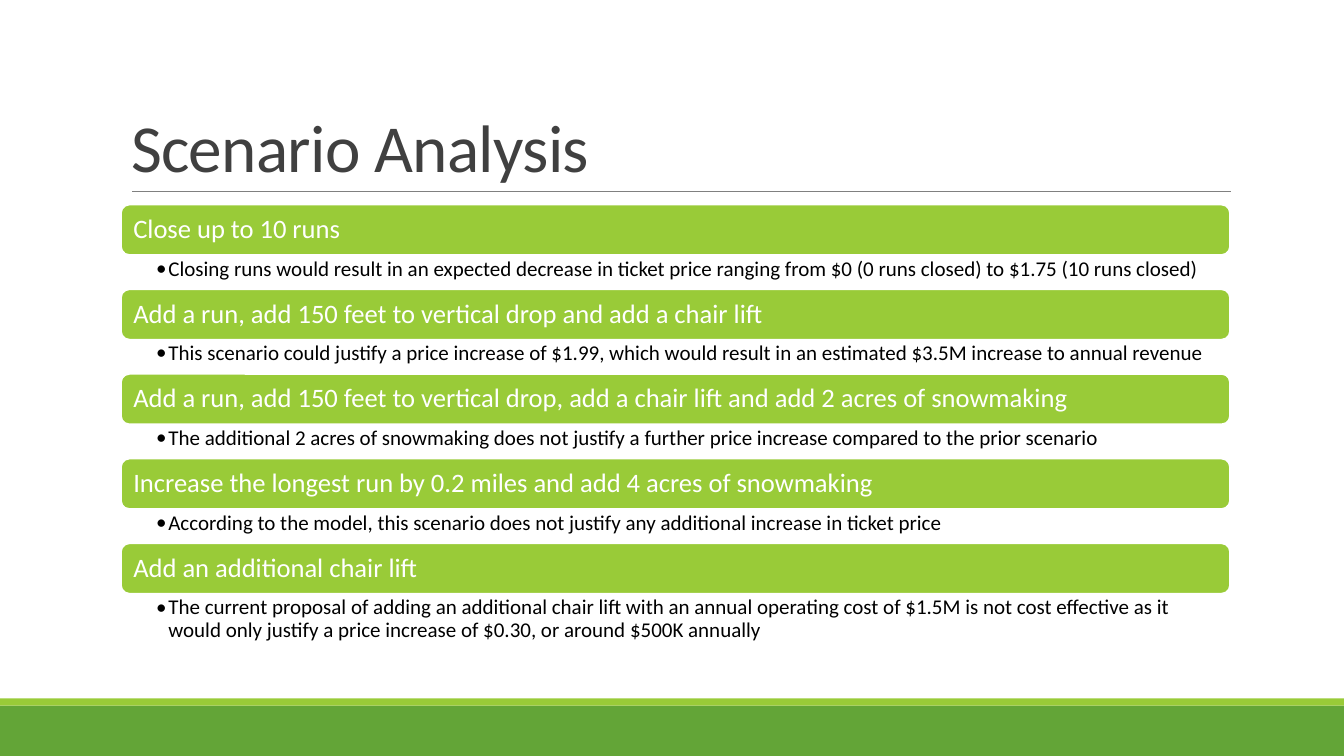
from lxml.etree import SubElement
from pptx import Presentation
from pptx.dml.color import RGBColor
from pptx.enum.shapes import MSO_CONNECTOR, MSO_SHAPE
from pptx.enum.text import MSO_ANCHOR, PP_ALIGN
from pptx.oxml.ns import qn
from pptx.util import Inches, Pt

TITLE = "Scenario Analysis"
SCENARIOS = [
    ("Close up to 10 runs",
     "Closing runs would result in an expected decrease in ticket price "
     "ranging from $0 (0 runs closed) to $1.75 (10 runs closed)"),
    ("Add a run, add 150 feet to vertical drop and add a chair lift",
     "This scenario could justify a price increase of $1.99, which would "
     "result in an estimated $3.5M increase to annual revenue"),
    ("Add a run, add 150 feet to vertical drop, add a chair lift and add "
     "2 acres of snowmaking",
     "The additional 2 acres of snowmaking does not justify a further price "
     "increase compared to the prior scenario"),
    ("Increase the longest run by 0.2 miles and add 4 acres of snowmaking",
     "According to the model, this scenario does not justify any additional "
     "increase in ticket price"),
    ("Add an additional chair lift",
     "The current proposal of adding an additional chair lift with an annual "
     "operating cost of $1.5M is not cost effective as it would only justify "
     "a price increase of $0.30, or around $500K annually"),
]
COLORS = {"green": "63A537", "lime": "99CB38", "rule": "808080",
          "title": "404040", "white": "FFFFFF", "black": "000000"}
FONT = "Calibri"
SLIDE_WIDTH, SLIDE_HEIGHT = 13.33, 7.5
LEFT, WIDTH = 1.2, 11
LIST_TOP, BAR_HEIGHT, DETAIL_HEIGHT, LAST_DETAIL_HEIGHT = 2.03, 0.5, 0.34, 0.52


def color(name):
    """Return the named colour."""
    return RGBColor.from_string(COLORS[name])


def place(box, left, top, width, height):
    """Set position and size in inches."""
    box.left, box.top = Inches(left), Inches(top)
    box.width, box.height = Inches(width), Inches(height)


def add_block(page, preset, area, fill):
    """Add a flat filled shape without an outline."""
    block = page.shapes.add_shape(preset, *[Inches(length) for length in area])
    block.shadow.inherit = False
    block.fill.solid()
    block.fill.fore_color.rgb = color(fill)
    block.line.fill.background()
    return block


def write(box, text, size, ink, spacing, insets, anchor):
    """Write one left-aligned paragraph and return it with its run."""
    frame = box.text_frame
    frame.word_wrap = True
    frame.vertical_anchor = anchor
    (frame.margin_left, frame.margin_top,
     frame.margin_right, frame.margin_bottom) = [Inches(inset) for inset in insets]
    para = frame.paragraphs[0]
    para.alignment = PP_ALIGN.LEFT
    para.line_spacing = spacing
    span = para.add_run()
    span.text = text
    span.font.name, span.font.size = FONT, Pt(size)
    span.font.color.rgb = color(ink)
    return para, span


def add_bullet(para):
    """Give a paragraph a hanging bullet."""
    para.level = 1
    properties = para._p.get_or_add_pPr()
    properties.set("marL", str(Inches(0.12)))
    properties.set("indent", str(Inches(-0.12)))
    SubElement(properties, qn("a:buFont")).set("typeface", FONT)
    SubElement(properties, qn("a:buChar")).set("char", "•")


def add_frame(page):
    """Add the bottom bands, the title and the rule below it."""
    add_block(page, MSO_SHAPE.RECTANGLE, (0, 7, SLIDE_WIDTH, 0.5), "green")
    add_block(page, MSO_SHAPE.RECTANGLE, (0, 6.93, SLIDE_WIDTH, 0.07), "lime")
    rule = page.shapes.add_connector(MSO_CONNECTOR.STRAIGHT, Inches(1.31),
                                     Inches(1.9), Inches(12.21), Inches(1.9))
    rule.line.color.rgb = color("rule")
    rule.line.width = Pt(0.5)
    SubElement(rule._element.spPr, qn("a:effectLst"))
    title = page.shapes.title
    place(title, LEFT, 0.31, WIDTH, 1.59)
    para, span = write(title, TITLE, 48, "title", 0.85,
                       (0.1, 0.05, 0.1, 0.05), MSO_ANCHOR.BOTTOM)
    span.font._element.set("spc", "-50")


def add_scenario(page, top, heading, detail, detail_height):
    """Add a heading bar with its bulleted detail below."""
    bar = add_block(page, MSO_SHAPE.ROUNDED_RECTANGLE,
                    (LEFT, top, WIDTH, BAR_HEIGHT), "lime")
    bar.line.color.rgb = color("white")
    bar.line.width = Pt(1.25)
    write(bar, heading, 19, "white", 0.9, (0.1, 0.08, 0.1, 0.08), MSO_ANCHOR.MIDDLE)
    box = page.shapes.add_textbox(Inches(LEFT), Inches(top + BAR_HEIGHT),
                                  Inches(WIDTH), Inches(detail_height))
    para, span = write(box, detail, 15, "black", 0.9,
                       (0.35, 0.03, 0.15, 0.03), MSO_ANCHOR.TOP)
    add_bullet(para)


deck = Presentation()
deck.slide_width, deck.slide_height = Inches(SLIDE_WIDTH), Inches(SLIDE_HEIGHT)
page = deck.slides.add_slide(deck.slide_layouts[5])
add_frame(page)
for index, (heading, detail) in enumerate(SCENARIOS):
    is_last = index == len(SCENARIOS) - 1
    add_scenario(page, LIST_TOP + index * (BAR_HEIGHT + DETAIL_HEIGHT), heading,
                 detail, LAST_DETAIL_HEIGHT if is_last else DETAIL_HEIGHT)
deck.save("out.pptx")
